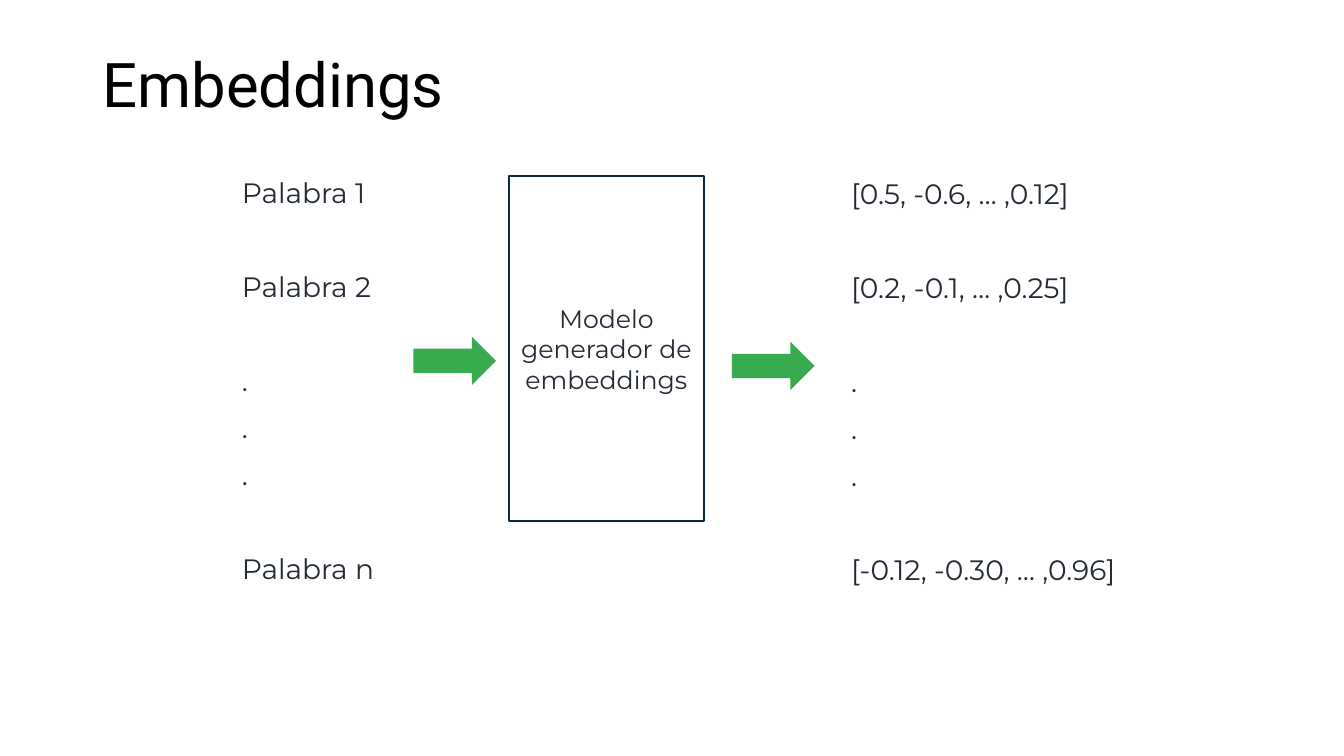
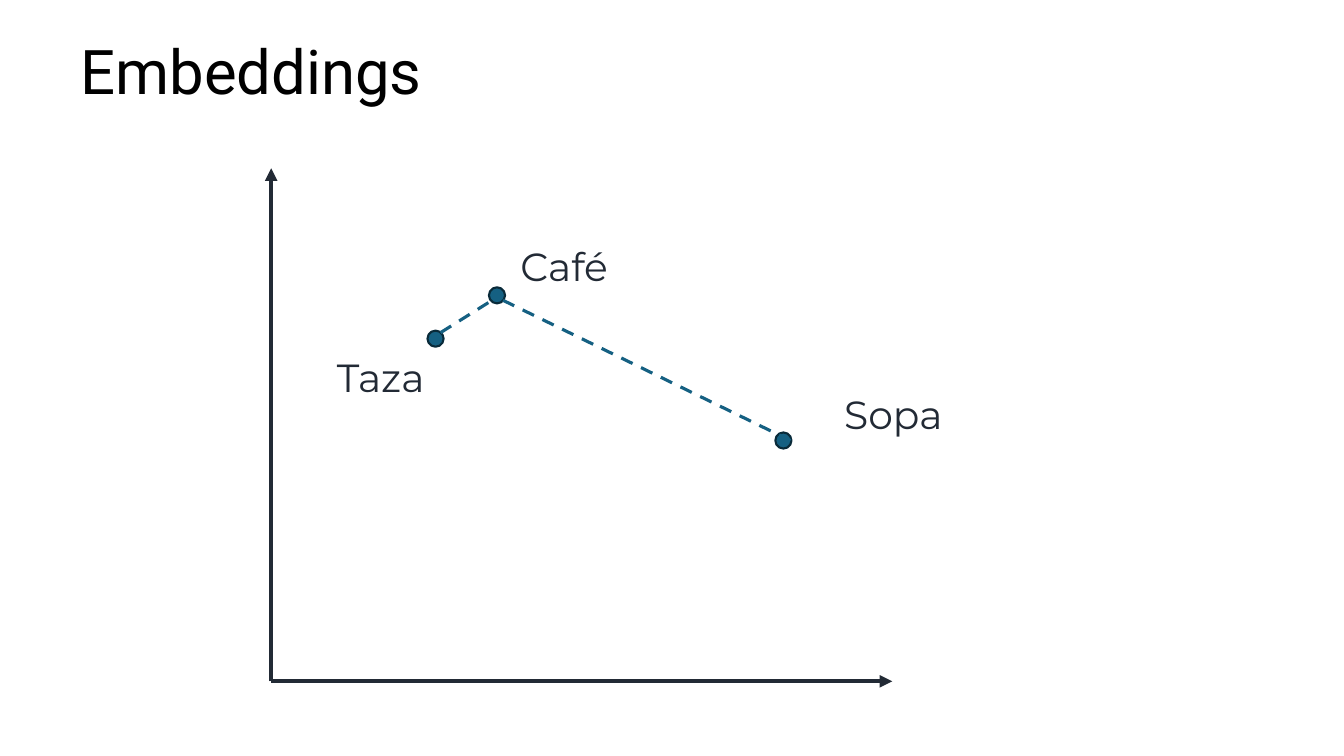
from lxml import etree
from pptx import Presentation
from pptx import util as u
from pptx.dml.color import RGBColor
from pptx.enum import dml, shapes, text
from pptx.oxml.ns import qn

# Shared style; all positions and sizes are percent of the slide
SLIDE_WIDTH, SLIDE_HEIGHT = 13.33, 7.5
COLORS = {
    "background": "FFFFFF",
    "title": "000000",
    "ink": "222A35",
    "outline": "092A39",
    "arrow": "37AB4D",
    "point": "156082",
}
TITLE_FONT, BODY_FONT = "Roboto", "Montserrat"
TITLE_SIZE = (76.82, 12.53)
ARROW_SIZE = (6.15, 6.4)
POINT_SIZE = (1.2, 2.13)
ROW_PITCH = u.Pt(33.6)


def color(name):
    return RGBColor.from_string(COLORS[name])


def across(share):
    return u.Inches(SLIDE_WIDTH * share / 100)


def down(share):
    return u.Inches(SLIDE_HEIGHT * share / 100)


def box(left, top, width, height):
    return across(left), down(top), across(width), down(height)


def style_font(paragraph, size, name=BODY_FONT, color_name="ink"):
    font = paragraph.font
    font.name, font.size = name, u.Pt(size)
    font.color.rgb = color(color_name)


def add_title_slide(presentation, title_text, left, top):
    slide = presentation.slides.add_slide(presentation.slide_layouts[5])
    title = slide.shapes.title
    title.left, title.top, title.width, title.height = box(left, top, *TITLE_SIZE)
    frame = title.text_frame
    frame.text = title_text
    frame.vertical_anchor = text.MSO_ANCHOR.MIDDLE
    paragraph = frame.paragraphs[0]
    paragraph.alignment = text.PP_ALIGN.LEFT
    paragraph.line_spacing = 0.9
    style_font(paragraph, 44, TITLE_FONT, "title")
    return slide


def add_shape(slide, kind, bounds, fill, outline=None):
    shape = slide.shapes.add_shape(kind, *box(*bounds))
    shape.shadow.inherit = False
    shape.fill.solid()
    shape.fill.fore_color.rgb = color(fill)
    if outline:
        shape.line.color.rgb = color(outline)
        shape.line.width = u.Pt(1.5)
    else:
        shape.line.fill.background()
    return shape


def add_text(slide, bounds, lines, size, alignment, gaps=()):
    """Lines whose index is in gaps get one empty row above them."""
    frame = slide.shapes.add_textbox(*box(*bounds)).text_frame
    frame.word_wrap = True
    frame.auto_size = text.MSO_AUTO_SIZE.SHAPE_TO_FIT_TEXT
    frame.margin_left = frame.margin_right = 0
    frame.margin_top = frame.margin_bottom = 0
    frame.text = "\n".join(lines)
    for index, paragraph in enumerate(frame.paragraphs):
        paragraph.alignment = alignment
        paragraph.line_spacing = ROW_PITCH
        if index in gaps:
            paragraph.space_before = ROW_PITCH
        style_font(paragraph, size)


def add_series(slide, bounds, first, second, last):
    lines = [first, second, ".", ".", ".", last]
    add_text(slide, bounds, lines, 20, text.PP_ALIGN.LEFT, gaps=(1, 2, 5))


def add_line(slide, start, end, color_name, width, dashed=False, arrow=False):
    connector = slide.shapes.add_connector(
        shapes.MSO_CONNECTOR.STRAIGHT,
        across(start[0]), down(start[1]), across(end[0]), down(end[1]))
    line = connector.line
    line.color.rgb = color(color_name)
    line.width = u.Pt(width)
    if dashed:
        line.dash_style = dml.MSO_LINE.DASH
    properties = connector._element.spPr
    if arrow:
        outline = properties.find(qn("a:ln"))
        etree.SubElement(outline, qn("a:tailEnd"), type="triangle")
    etree.SubElement(properties, qn("a:effectLst"))


def build_model_slide(presentation):
    slide = add_title_slide(presentation, "Embeddings", 6.9, 5.33)

    # Model
    model = add_shape(slide, shapes.MSO_SHAPE.RECTANGLE,
                      (37.88, 23.33, 14.48, 45.6), "background", "outline")
    frame = model.text_frame
    frame.text = "Modelo generador de embeddings"
    frame.word_wrap = True
    frame.vertical_anchor = text.MSO_ANCHOR.MIDDLE
    frame.paragraphs[0].alignment = text.PP_ALIGN.CENTER
    style_font(frame.paragraphs[0], 18)

    # Words in, vectors out
    add_series(slide, (18, 21.47, 12.53, 56.53),
               "Palabra 1", "Palabra 2", "Palabra n")
    add_series(slide, (63.32, 21.6, 22.88, 56.53),
               "[0.5, -0.6, … ,0.12]", "[0.2, -0.1, … ,0.25]",
               "[-0.12, -0.30, … ,0.96]")
    for position in ((30.76, 44.53), (54.46, 45.2)):
        add_shape(slide, shapes.MSO_SHAPE.RIGHT_ARROW,
                  position + ARROW_SIZE, "arrow")


def build_distance_slide(presentation):
    slide = add_title_slide(presentation, "Embeddings", 5.25, 3.6)

    # Axes
    origin = (20.18, 90.13)
    for tip in ((origin[0], 22.27), (66.39, origin[1])):
        add_line(slide, origin, tip, "ink", 3, arrow=True)

    # Words: centre of the point, then bounds of the label
    words = {
        "Taza": ((32.41, 44.8), (21.38, 46.8, 13.88, 6)),
        "Café": ((36.98, 39.07), (35.03, 32, 13.88, 6)),
        "Sopa": ((58.29, 58.27), (55.89, 51.6, 21.16, 6)),
    }
    width, height = POINT_SIZE
    for word, ((x, y), label_bounds) in words.items():
        add_shape(slide, shapes.MSO_SHAPE.OVAL,
                  (x - width / 2, y - height / 2, width, height),
                  "point", "outline")
        add_text(slide, label_bounds, [word], 28, text.PP_ALIGN.CENTER)

    # Distances between words
    for start, end in (((32.78, 44), (36.61, 39.73)),
                       ((58.81, 58.27), (37.43, 39.73))):
        add_line(slide, start, end, "point", 2.25, dashed=True)


def main():
    presentation = Presentation()
    presentation.slide_width = u.Inches(SLIDE_WIDTH)
    presentation.slide_height = u.Inches(SLIDE_HEIGHT)
    background = presentation.slide_master.background.fill
    background.solid()
    background.fore_color.rgb = color("background")
    build_model_slide(presentation)
    build_distance_slide(presentation)
    presentation.save("out.pptx")


if __name__ == "__main__":
    main()
